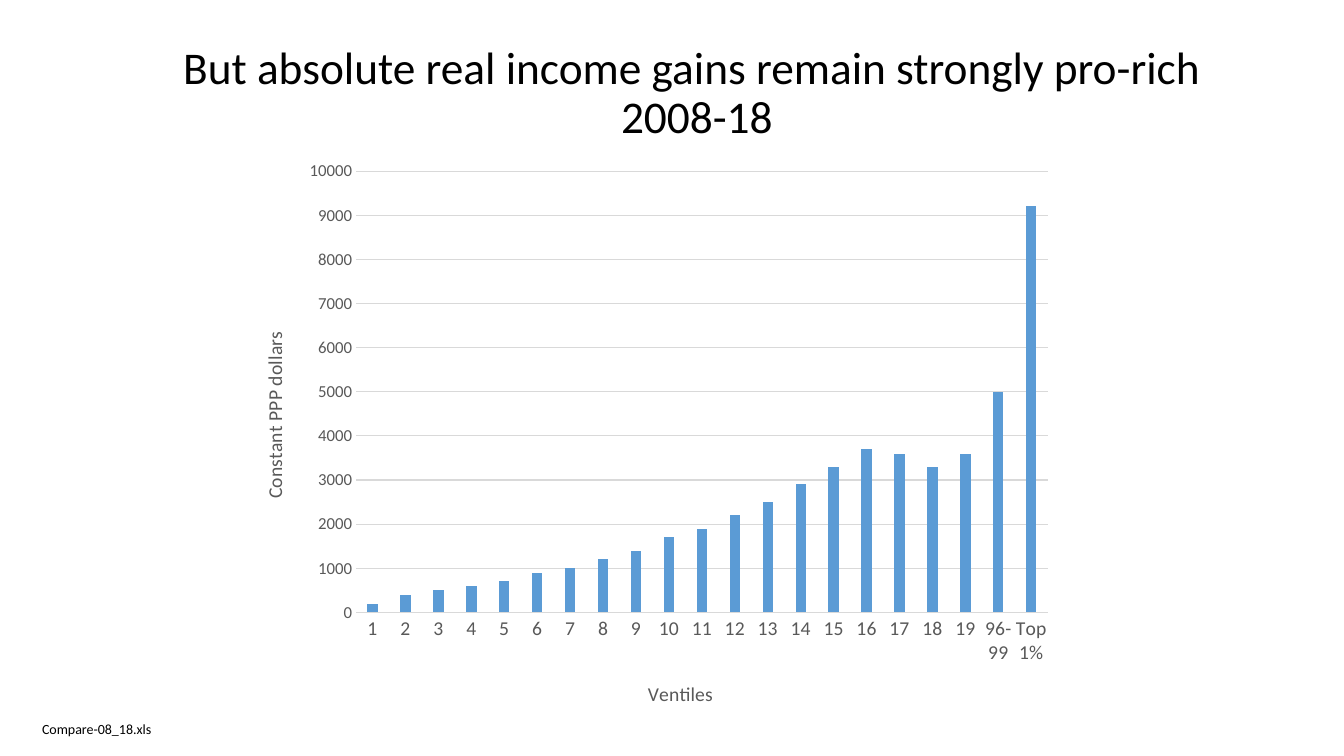
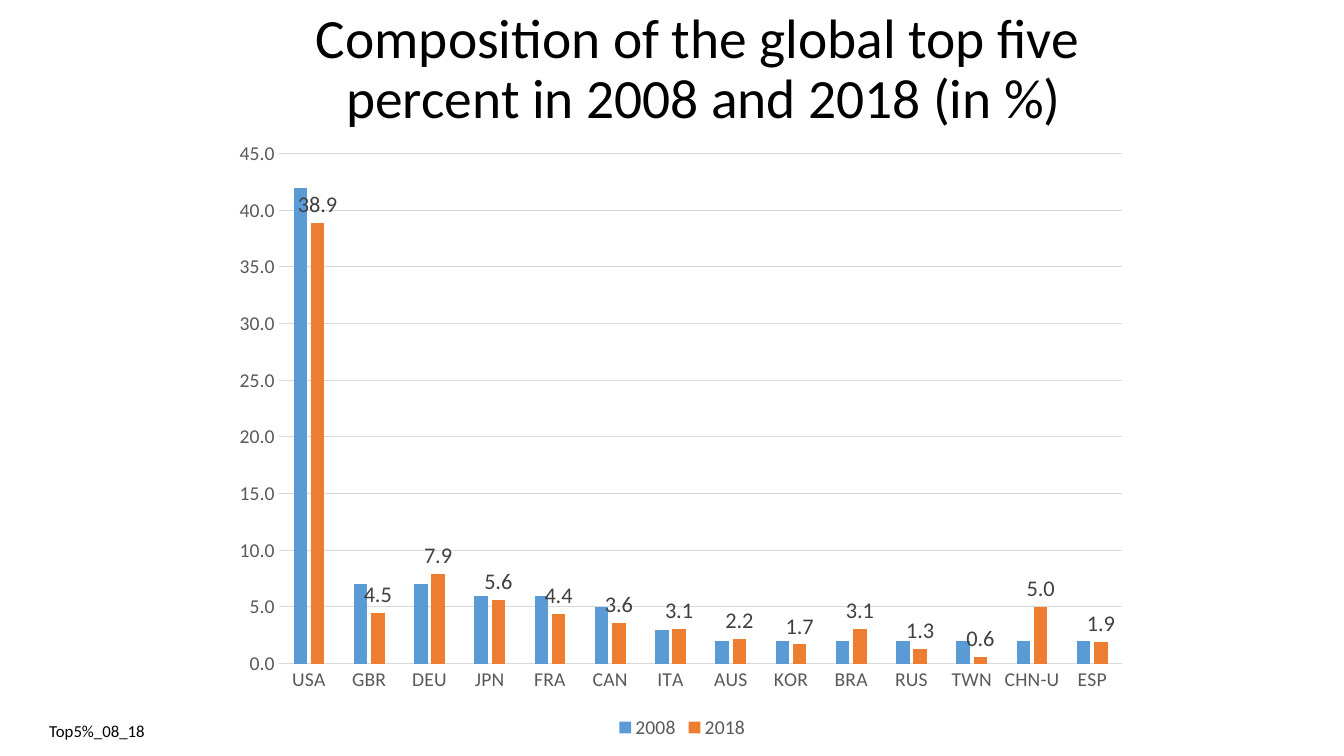
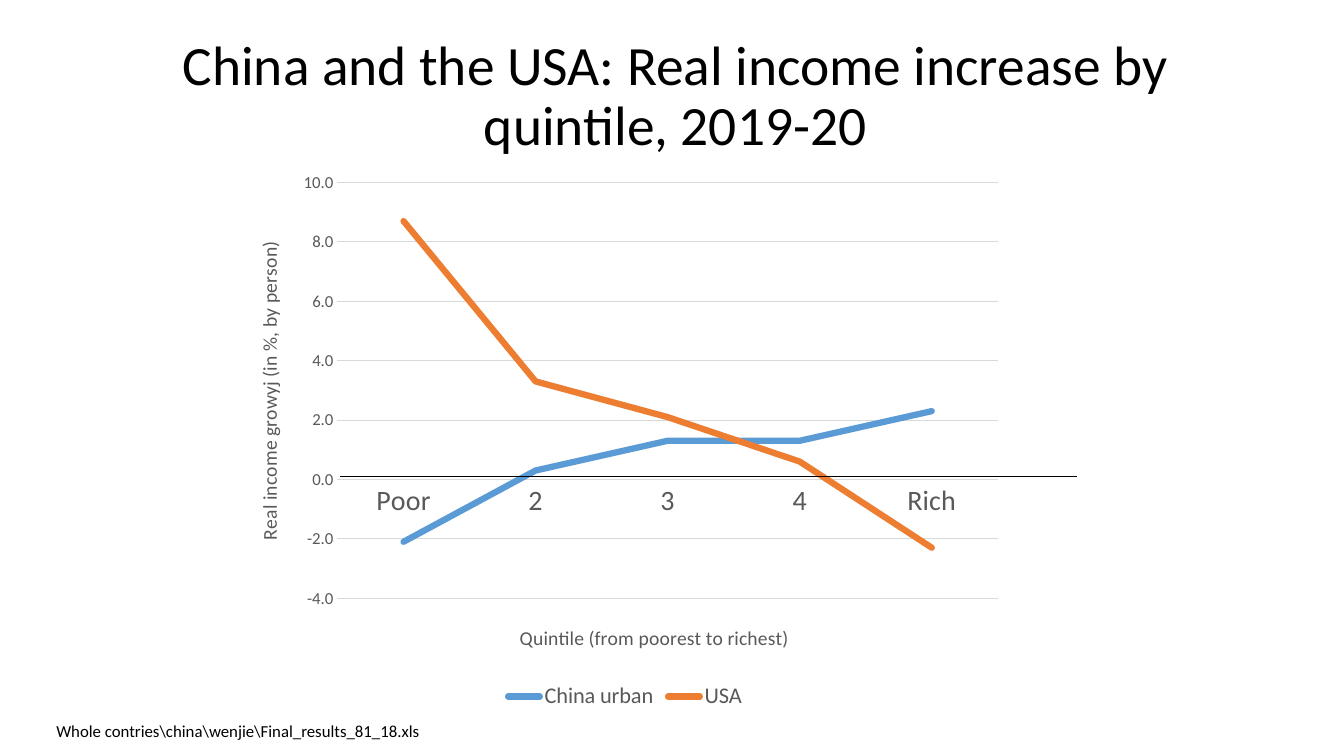
from lxml import etree
from pptx import Presentation, util as u
from pptx.chart.data import CategoryChartData
from pptx.dml.color import RGBColor
from pptx.enum import chart as ch, shapes, text
from pptx.oxml import parse_xml
from pptx.oxml.ns import nsdecls, qn

FONT = "Calibri"
COLORS = {"text": "000000", "axis": "595959", "label": "404040", "grid": "D9D9D9",
          "blue": "5B9BD5", "orange": "ED7D31"}
SERIES_COLORS = ["blue", "orange"]

# Content: boxes are left, top, width, height in cm; layouts are shares of the chart
SLIDES = [
    {
        "title": ["But absolute real income gains remain strongly pro-rich", " 2008-18"],
        "title_box": (3.4, 1.02, 28.07, 2.72), "title_size": 32.4,
        "source": "Compare-08_18.xls",
        "source_box": (0.81, 18.03, 9.22, 0.69), "source_size": 10,
        "kind": ch.XL_CHART_TYPE.COLUMN_CLUSTERED,
        "chart_box": (6.07, 3.73, 20.75, 14.63), "plot": (0.14, 0.04, 0.84, 0.76),
        "categories": [str(n) for n in range(1, 20)] + ["96-99", "Top 1%"],
        "series": {"Series 1": [200, 400, 500, 600, 700, 900, 1000, 1200, 1400, 1700, 1900,
                                2200, 2500, 2900, 3300, 3700, 3600, 3300, 3600, 5000, 9200]},
        "scale": (0, 10000, 1000), "format": "0", "axis_sizes": (14, 12),
        "axis_titles": [("Ventiles", 0.49, 0.91), ("Constant PPP dollars", 0.02, 0.31)],
    },
    {
        "title": ["Composition of the global top five ", "percent in 2008 and 2018 (in %)"],
        "title_box": (3.68, 0.3, 28.12, 2.95), "title_size": 39.6,
        "source": "Top5%_08_18",
        "source_box": (0.99, 18.03, 7.42, 0.76), "source_size": 12,
        "kind": ch.XL_CHART_TYPE.COLUMN_CLUSTERED,
        "chart_box": (5.64, 3.25, 23.11, 15.49), "plot": (0.06, 0.04, 0.92, 0.83),
        "categories": ["USA", "GBR", "DEU", "JPN", "FRA", "CAN", "ITA", "AUS", "KOR",
                       "BRA", "RUS", "TWN", "CHN-U", "ESP"],
        "series": {
            "2008": [42, 7, 7, 6, 6, 5, 3, 2, 2, 2, 2, 2, 2, 2],
            "2018": [38.9, 4.5, 7.9, 5.6, 4.4, 3.6, 3.1, 2.2, 1.7, 3.1, 1.3, 0.6, 5, 1.9],
        },
        "scale": (0, 45, 5), "format": "0.0", "axis_sizes": (14, 14),
        "legend_size": 14, "labelled": "2018",
    },
    {
        "title": ["China and the USA: Real income increase by quintile, 2019-20"],
        "title_box": (2.34, 1.0, 29.36, 2.9), "title_size": 39.6,
        "source": r"Whole contries\china\wenjie\Final_results_81_18.xls",
        "source_box": (1.17, 18.03, 15.82, 0.76), "source_size": 12,
        "kind": ch.XL_CHART_TYPE.LINE,
        "chart_box": (5.96, 4.04, 19.58, 13.97), "plot": (0.13, 0.04, 0.85, 0.75),
        "categories": ["Poor", "2", "3", "4", "Rich"],
        "series": {"China urban": [-2.1, 0.3, 1.3, 1.3, 2.3],
                   "USA": [8.7, 3.3, 2.1, 0.6, -2.3]},
        "scale": (-4, 10, 2), "format": "0.0", "axis_sizes": (20, 12),
        "axis_titles": [("Quintile (from poorest to richest)", 0.36, 0.83),
                        ("Real income growyj (in %, by person)", 0.02, 0.14)],
        "legend_size": 16,
        "zero_line": (8.56, 12.01, 27.15, 12.01),
    },
]


def rgb(name):
    return RGBColor.from_string(COLORS[name])


def cm(lengths):
    return [u.Cm(length) for length in lengths]


def style(font, size, color):
    font.name, font.size, font.bold = FONT, u.Pt(size), False
    font.color.rgb = rgb(color)


def add_text(slide, lines, box, size, color="text", align=text.PP_ALIGN.LEFT,
             anchor=text.MSO_ANCHOR.TOP, spacing=1.0):
    frame = slide.shapes.add_textbox(*cm(box)).text_frame
    frame.word_wrap, frame.vertical_anchor = True, anchor
    paragraph = frame.paragraphs[0]
    paragraph.alignment, paragraph.line_spacing = align, spacing
    for i, line in enumerate(lines):
        if i:
            paragraph.add_line_break()
        run = paragraph.add_run()
        run.text = line
        style(run.font, size, color)


def place(element, index, **shares):
    """Give a chart part a manual layout."""
    for old in element.findall(qn("c:layout")):
        element.remove(old)
    layout = parse_xml(f"<c:layout {nsdecls('c')}><c:manualLayout/></c:layout>")
    settings = {"xMode": "edge", "yMode": "edge", **shares}
    if "w" in shares:
        settings = {"layoutTarget": "inner", **settings}
    for tag, value in settings.items():
        etree.SubElement(layout[0], qn(f"c:{tag}")).set("val", str(value))
    element.insert(index, layout)


def format_axes(chart, content):
    category, value = axes = chart.category_axis, chart.value_axis
    for axis, size in zip(axes, content["axis_sizes"]):
        style(axis.tick_labels.font, size, "axis")
        axis.major_tick_mark = axis.minor_tick_mark = ch.XL_TICK_MARK.NONE
    category.format.line.color.rgb = rgb("grid")
    category.format.line.width = u.Pt(0.75)
    value.format.line.fill.background()
    value.minimum_scale, value.maximum_scale, value.major_unit = content["scale"]
    value.tick_labels.number_format = content["format"]
    value.tick_labels.number_format_is_linked = False
    value.major_gridlines.format.line.color.rgb = rgb("grid")
    value.major_gridlines.format.line.width = u.Pt(0.75)
    for axis, (words, x, y) in zip(axes, content.get("axis_titles", [])):
        run = axis.axis_title.text_frame.paragraphs[0].add_run()
        run.text = words
        style(run.font, 14, "axis")
        place(axis.axis_title._element, 1, x=x, y=y)


def format_series(chart, content):
    plot = chart.plots[0]
    plot.vary_by_categories = False
    is_line = content["kind"] == ch.XL_CHART_TYPE.LINE
    if not is_line:
        plot.gap_width, plot.overlap = 219, -27
    for series, color in zip(plot.series, SERIES_COLORS):
        if is_line:
            series.smooth = False
            series.marker.style = ch.XL_MARKER_STYLE.NONE
            series.format.line.color.rgb = rgb(color)
            series.format.line.width = u.Pt(4.5)
            series._element.find(f"{qn('c:spPr')}/{qn('a:ln')}").set("cap", "rnd")
        else:
            series.format.fill.solid()
            series.format.fill.fore_color.rgb = rgb(color)
            series.invert_if_negative = False
        if series.name == content.get("labelled"):
            labels = series.data_labels
            labels.show_value = True
            labels.number_format, labels.number_format_is_linked = content["format"], False
            labels.position = ch.XL_LABEL_POSITION.OUTSIDE_END
            style(labels.font, 16, "label")


def add_chart(slide, content):
    data = CategoryChartData()
    data.categories = content["categories"]
    for name, values in content["series"].items():
        data.add_series(name, values)
    chart = slide.shapes.add_chart(content["kind"], *cm(content["chart_box"]), data).chart
    style(chart.font, 10, "text")
    chart.has_title = False
    chart.has_legend = "legend_size" in content
    if chart.has_legend:
        chart.legend.position = ch.XL_LEGEND_POSITION.BOTTOM
        chart.legend.include_in_layout = False
        style(chart.legend.font, content["legend_size"], "axis")
    format_axes(chart, content)
    format_series(chart, content)
    plot_area = chart._chartSpace.find(f"{qn('c:chart')}/{qn('c:plotArea')}")
    place(plot_area, 0, **dict(zip("xywh", content["plot"])))


def add_line(slide, ends):
    line = slide.shapes.add_connector(shapes.MSO_CONNECTOR.STRAIGHT, *cm(ends))
    line.line.color.rgb = rgb("text")
    line.line.width = u.Pt(0.5)
    etree.SubElement(line._element.spPr, qn("a:effectLst"))


def main():
    deck = Presentation()
    deck.slide_width, deck.slide_height = cm((33.87, 19.05))
    for content in SLIDES:
        slide = deck.slides.add_slide(deck.slide_layouts[6])
        add_text(slide, content["title"], content["title_box"], content["title_size"],
                 align=text.PP_ALIGN.CENTER, anchor=text.MSO_ANCHOR.MIDDLE, spacing=0.9)
        add_chart(slide, content)
        add_text(slide, [content["source"]], content["source_box"], content["source_size"])
        if "zero_line" in content:
            add_line(slide, content["zero_line"])
    deck.save("out.pptx")


if __name__ == "__main__":
    main()
